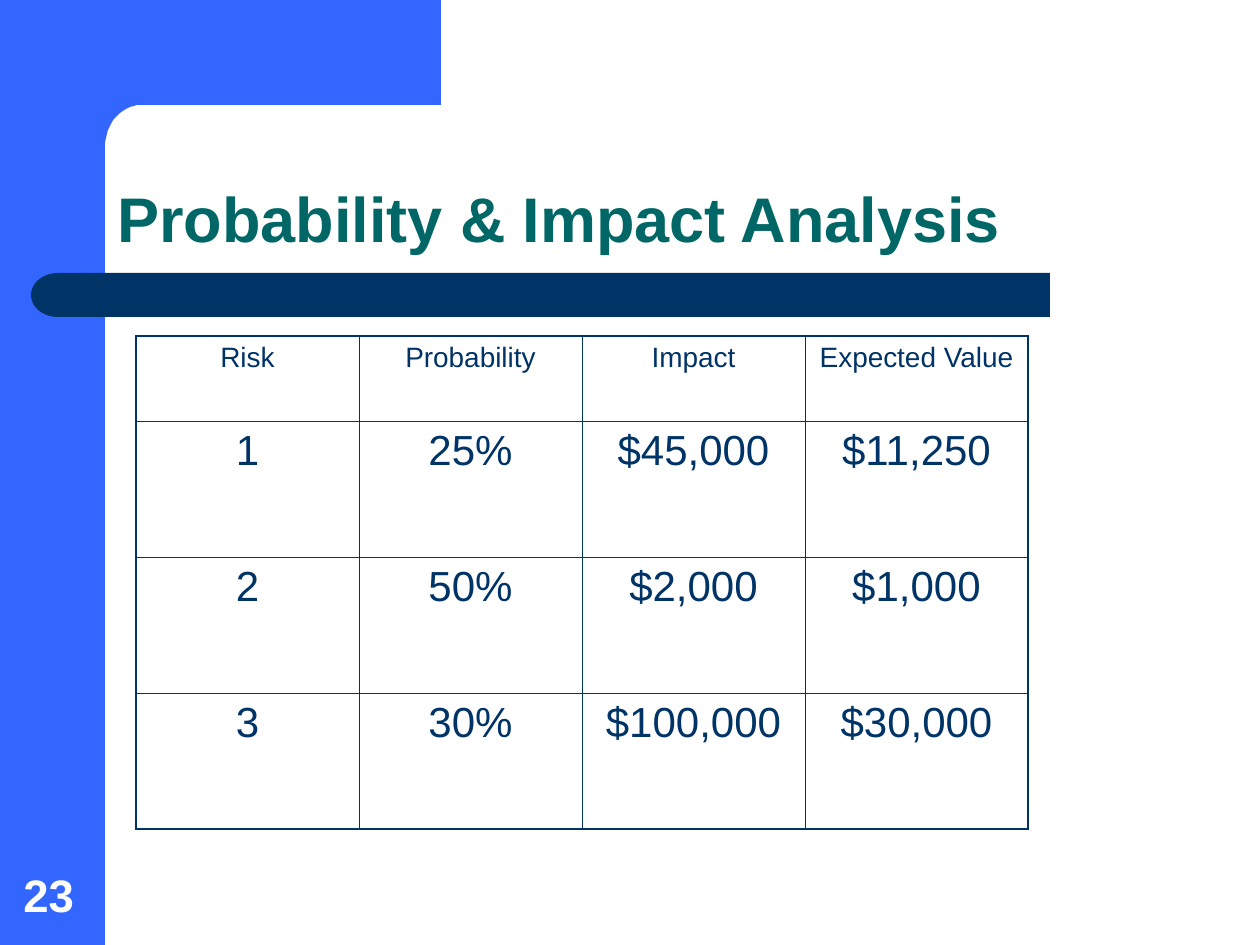
import math

from lxml import etree
from pptx import Presentation
from pptx.dml.color import RGBColor
from pptx.enum.shapes import MSO_SHAPE
from pptx.enum.text import MSO_ANCHOR, PP_ALIGN
from pptx.oxml.ns import qn
from pptx.util import Pt

RECT, ROUNDED, DELAY = (MSO_SHAPE.RECTANGLE, MSO_SHAPE.ROUNDED_RECTANGLE,
                        MSO_SHAPE.FLOWCHART_DELAY)
BOTTOM = MSO_ANCHOR.BOTTOM
LEFT, CENTER = PP_ALIGN.LEFT, PP_ALIGN.CENTER

PX = 914400 / 126
COLORS = {"frame": "3366FF", "navy": "003366", "title": "006666", "white": "FFFFFF"}
FONT = "Arial"
THIN, THICK = 0.45, 1.08

RISKS = [
    ("Risk", "Probability", "Impact", "Expected Value"),
    ("1", "25%", "$45,000", "$11,250"),
    ("2", "50%", "$2,000", "$1,000"),
    ("3", "30%", "$100,000", "$30,000"),
]


def emu(*lengths):
    return [round(length * PX) for length in lengths]


def rgb(color):
    return RGBColor.from_string(COLORS[color])


def paint(shape, color):
    shape.shadow.inherit = False
    shape.fill.solid()
    shape.fill.fore_color.rgb = rgb(color)
    shape.line.fill.background()


def add_block(slide, kind, box, color):
    block = slide.shapes.add_shape(kind, *emu(*box))
    paint(block, color)
    return block


def write(frame, text, size, color, bold=False, **paragraph_format):
    paragraph = frame.paragraphs[0]
    for attribute, value in paragraph_format.items():
        setattr(paragraph, attribute, value)
    run = paragraph.add_run()
    run.text = text
    font_format = {"name": FONT, "size": Pt(size), "bold": bold}
    for attribute, value in font_format.items():
        setattr(run.font, attribute, value)
    run.font.color.rgb = rgb(color)


def add_label(slide, box, text, size, color, **paragraph_format):
    frame = slide.shapes.add_textbox(*emu(*box)).text_frame
    frame.word_wrap = True
    frame.vertical_anchor = BOTTOM
    write(frame, text, size, color, bold=True, alignment=LEFT, **paragraph_format)


def add_frame(slide, box):
    """Side band and top band, joined by a rounded inner corner."""
    left, top, width, height = box
    side = 105
    add_block(slide, RECT, (left, top, side, height), "frame")

    start, foot = left + 63, top + 161
    inner_x, inner_y = left + side, top + 105
    radius_x, radius_y = 36, 42
    corner = [
        (inner_x + radius_x * (1 - math.sin(angle)),
         inner_y + radius_y * (1 - math.cos(angle)))
        for angle in (math.radians(step) for step in range(0, 91, 6))
    ]
    outline = [(left + width, top), (left + width, inner_y), *corner,
               (inner_x, foot), (start, foot)]
    band = slide.shapes.build_freeform(start, top, scale=PX)
    band.add_line_segments(outline, close=True)
    paint(band.convert_to_shape(), "frame")


def add_rule(slide, box):
    """Bar with a round left end."""
    left, top, width, height = box
    cap = 54
    bar = add_block(slide, ROUNDED, (left + cap - 1, top, width - cap + 1, height), "navy")
    bar.adjustments[0] = 0
    end = add_block(slide, DELAY, (left, top, cap, height), "navy")
    end._element.spPr.find(qn("a:xfrm")).set("flipH", "1")


def set_border(cell, side, points):
    line = etree.SubElement(cell._tc.get_or_add_tcPr(), qn(f"a:ln{side}"),
                            w=str(Pt(points)))
    fill = etree.SubElement(line, qn("a:solidFill"))
    etree.SubElement(fill, qn("a:srgbClr"), val=COLORS["navy"])


def add_risk_table(slide, box):
    left, top, width, height = box
    row_count, column_count = len(RISKS), len(RISKS[0])
    header_height = 85
    body_height = (height - header_height) / (row_count - 1)
    table = slide.shapes.add_table(row_count, column_count, *emu(*box)).table
    table.first_row = table.horz_banding = False
    for column in table.columns:
        column.width = emu(width / column_count)[0]

    for r, values in enumerate(RISKS):
        is_header = r == 0
        table.rows[r].height = emu(header_height if is_header else body_height)[0]
        size, space = (16, 4) if is_header else (24, 6)
        for c, value in enumerate(values):
            cell = table.cell(r, c)
            # The outer edge is heavier than the inner grid
            outer = {"L": c == 0, "R": c == column_count - 1,
                     "T": r == 0, "B": r == row_count - 1}
            for side, is_outer in outer.items():
                set_border(cell, side, THICK if is_outer else THIN)
            cell.fill.background()
            write(cell.text_frame, value, size, "navy",
                  alignment=CENTER, space_before=Pt(space))


def main():
    deck = Presentation()
    deck.slide_width, deck.slide_height = emu(1260, 945)
    slide = deck.slides.add_slide(deck.slide_layouts[6])

    # Background decoration
    add_frame(slide, (0, 0, 441, 945))
    add_rule(slide, (31, 273, 1019, 44))

    # Title, table and page number
    add_label(slide, (105, 105, 1092, 157), "Probability & Impact Analysis",
              36, "title", line_spacing=0.9)
    add_risk_table(slide, (136, 336, 892, 493))
    add_label(slide, (11, 861, 81, 67), "23", 26, "white")

    deck.save("out.pptx")


if __name__ == "__main__":
    main()
